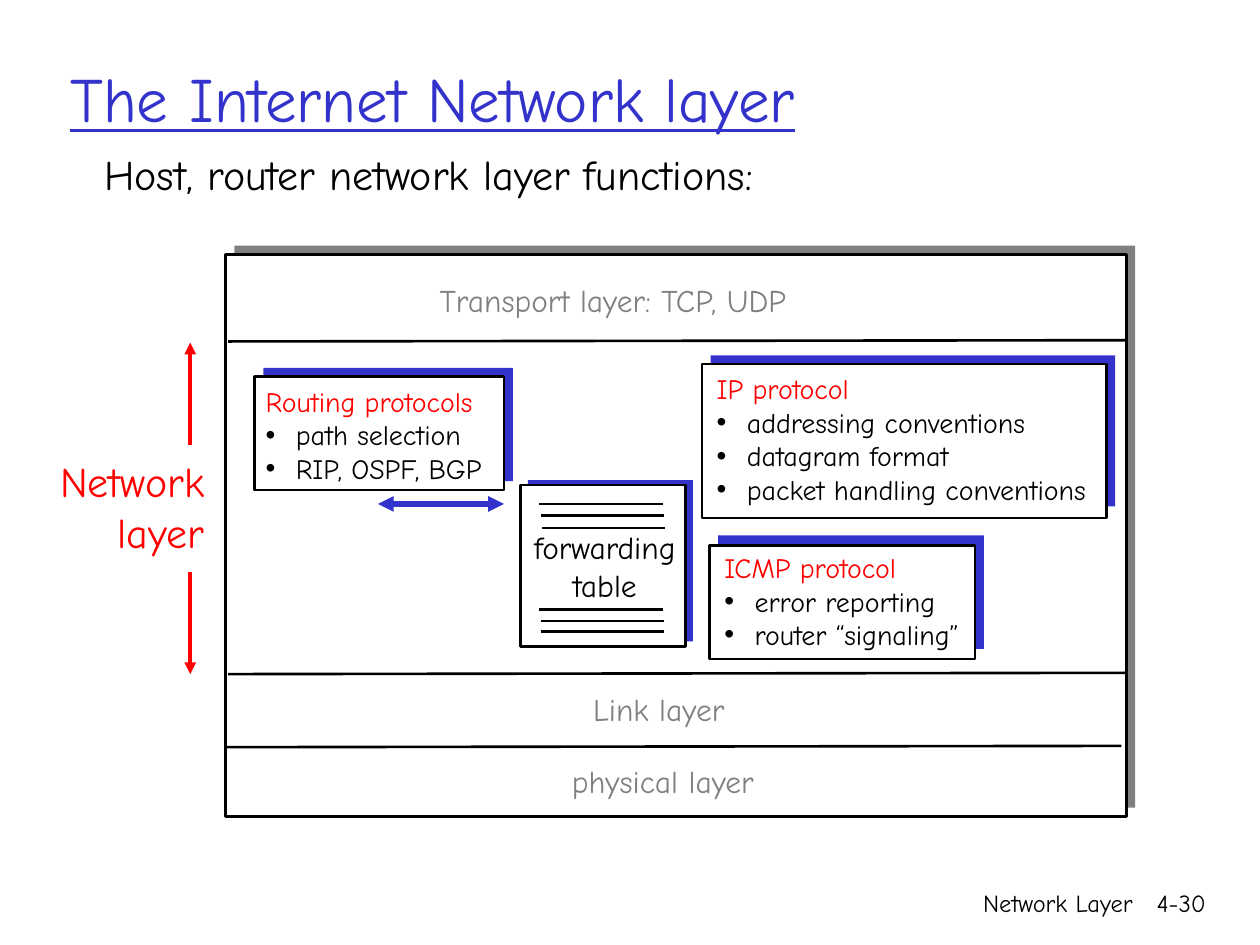
from lxml import etree
from pptx import Presentation
from pptx.dml.color import RGBColor
from pptx.enum.shapes import MSO_CONNECTOR, MSO_SHAPE
from pptx.enum.text import MSO_ANCHOR, PP_ALIGN
from pptx.oxml.ns import qn
from pptx.util import Inches, Pt

LEFT, MID, RIGHT = PP_ALIGN.LEFT, PP_ALIGN.CENTER, PP_ALIGN.RIGHT
RECT, LINE = MSO_SHAPE.RECTANGLE, MSO_CONNECTOR.STRAIGHT
FONT = "Comic Neue"
HUE = {"black": "000000", "white": "FFFFFF", "gray": "808080",
       "blue": "3333CC", "red": "FF0000"}

# Content: text, left, top, width, height, size, colour, alignment
TITLE = ("The Internet Network layer", 0.46, 0.15, 8.5, 1.25, 36, "blue", LEFT)
TEXTS = [
    ("Host, router network layer functions:", 0.73, 1.13, 8.24, 0.48, 24, "black", LEFT),
    ("Network Layer", 5.92, 7, 3.17, 0.5, 14, "black", RIGHT),
    ("4-30", 8.93, 7, 0.74, 0.5, 14, "black", RIGHT),
    ("Transport layer: TCP, UDP", 3.39, 2.18, 3.27, 0.4, 18, "gray", LEFT),
    ("Link layer", 4.61, 5.43, 1.33, 0.4, 18, "gray", LEFT),
    ("physical layer", 4.44, 6, 1.78, 0.4, 18, "gray", LEFT),
    ("Network\nlayer", 0.17, 3.57, 1.55, 0.9, 24, "red", RIGHT),
    ("forwarding\ntable", 4.06, 4.14, 1.48, 0.7, 18, "black", MID),
]
# Cards: front box, offset of the back box, height of the back box
STACK = (1.79, 2.02, 7.15, 4.46), (0.07, -0.07), 4.46
TABLE = (4.13, 3.85, 1.31, 1.28), (0.06, -0.04), 1.28
CARDS = [
    ((2.02, 2.99, 1.98, 0.9), (0.07, -0.07), 0.9, (2.01, 3, 2, 0.9),
     ["Routing protocols", "path selection", "RIP, OSPF, BGP"]),
    ((5.57, 2.89, 3.21, 1.22), (0.07, -0.07), 1.2, (5.59, 2.9, 3.16, 1.17),
     ["IP protocol", "addressing conventions", "datagram format",
      "packet handling conventions"]),
    ((5.63, 4.33, 2.11, 0.9), (0.07, -0.08), 0.9, (5.65, 4.32, 2.08, 0.9),
     ["ICMP protocol", "error reporting", "router “signaling”"]),
]
RULES = [(1.81, 2.71, 8.95, 2.7), (1.81, 5.35, 8.95, 5.34), (1.78, 5.93, 8.9, 5.92)]
ROWS = [(4.28, 4), (4.29, 4.09), (4.3, 4.19), (4.28, 4.84), (4.29, 4.93), (4.29, 5.01)]
SPAN = [(1.51, 3.53, 1.51, 2.72), (1.51, 4.54, 1.51, 5.35)]
CURVE = [
    ((3.44, 4), (3.49, 4.03), (3.51, 4.22), (3.7, 4.32)),
    ((3.7, 4.32), (3.89, 4.43), (4.04, 4.36), (4.12, 4.36)),
]

prs = Presentation()
prs.slide_width, prs.slide_height = Inches(10), Inches(7.5)
slide = prs.slides.add_slide(prs.slide_layouts[6])
shapes = slide.shapes


def rgb(name):
    return RGBColor.from_string(HUE[name])


def style(para, size, hue):
    for run in para.runs:
        run.font.name, run.font.size = FONT, Pt(size)
        run.font.color.rgb = rgb(hue)


def add_text(text, x, y, w, h, size, hue, align, wrap=False):
    box = shapes.add_textbox(*map(Inches, (x, y, w, h)))
    frame = box.text_frame
    frame.word_wrap = wrap
    frame.text = text
    for para in frame.paragraphs:
        para.alignment = align
        style(para, size, hue)
    return frame


def add_box(x, y, w, h, fill, edge=None):
    box = shapes.add_shape(RECT, *map(Inches, (x, y, w, h)))
    box.shadow.inherit = False
    box.fill.solid()
    box.fill.fore_color.rgb = rgb(fill)
    if edge:
        box.line.color.rgb, box.line.width = rgb(edge), Pt(1.5)
    else:
        box.line.fill.background()


def add_card(front, shift, tall, back):
    x, y, w, h = front
    add_box(x + shift[0], y + shift[1], w, tall, back)
    add_box(x, y, w, h, "white", "black")


def add_heads(line, *ends):
    for end in ends:
        etree.SubElement(line.line._get_or_add_ln(), qn(f"a:{end}"), type="triangle")


def add_line(x1, y1, x2, y2, hue="black", width=1.5):
    line = shapes.add_connector(LINE, *map(Inches, (x1, y1, x2, y2)))
    line.line.color.rgb, line.line.width = rgb(hue), Pt(width)
    etree.SubElement(line._element.spPr, qn("a:effectLst"))
    return line


def add_bullet(para):
    props = para._p.get_or_add_pPr()
    props.set("marL", str(Inches(0.24)))
    props.set("indent", str(-Inches(0.24)))
    etree.SubElement(props, qn("a:buFont"), typeface="Arial")
    etree.SubElement(props, qn("a:buChar"), char="•")


def bezier(pts, t):
    mix = ((1 - t) ** 3, 3 * t * (1 - t) ** 2, 3 * t * t * (1 - t), t ** 3)
    return tuple(sum(m * p[i] for m, p in zip(mix, pts)) for i in (0, 1))


# Layer stack
add_card(*STACK, "gray")
for rule in RULES:
    add_line(*rule)

# Forwarding table
add_card(*TABLE, "blue")
for x, y in ROWS:
    add_line(x, y, x + 0.98, y)

# Protocol cards
for front, shift, tall, spot, lines in CARDS:
    add_card(front, shift, tall, "blue")
    frame = add_text("\n".join(lines), *spot, 16, "black", LEFT)
    head, *items = frame.paragraphs
    style(head, 16, "red")
    for item in items:
        add_bullet(item)

# Curved double arrow from routing to the table
steps = 12
dots = [bezier(part, n / steps) for part in CURVE for n in range(1, steps + 1)]
pen = shapes.build_freeform(*CURVE[0][0], scale=Inches(1))
pen.add_line_segments(dots, close=False)
curve = pen.convert_to_shape()
curve.shadow.inherit = False
curve.fill.background()
curve.line.color.rgb, curve.line.width = rgb("blue"), Pt(3)
add_heads(curve, "headEnd", "tailEnd")

# Title and labels
title = add_text(*TITLE, wrap=True)
title.vertical_anchor = MSO_ANCHOR.MIDDLE
title.paragraphs[0].runs[0].font.underline = True
for item in TEXTS:
    add_text(*item)

# Extent of the network layer
for ends in SPAN:
    add_heads(add_line(*ends, "red", 2.25), "tailEnd")

prs.save("out.pptx")
